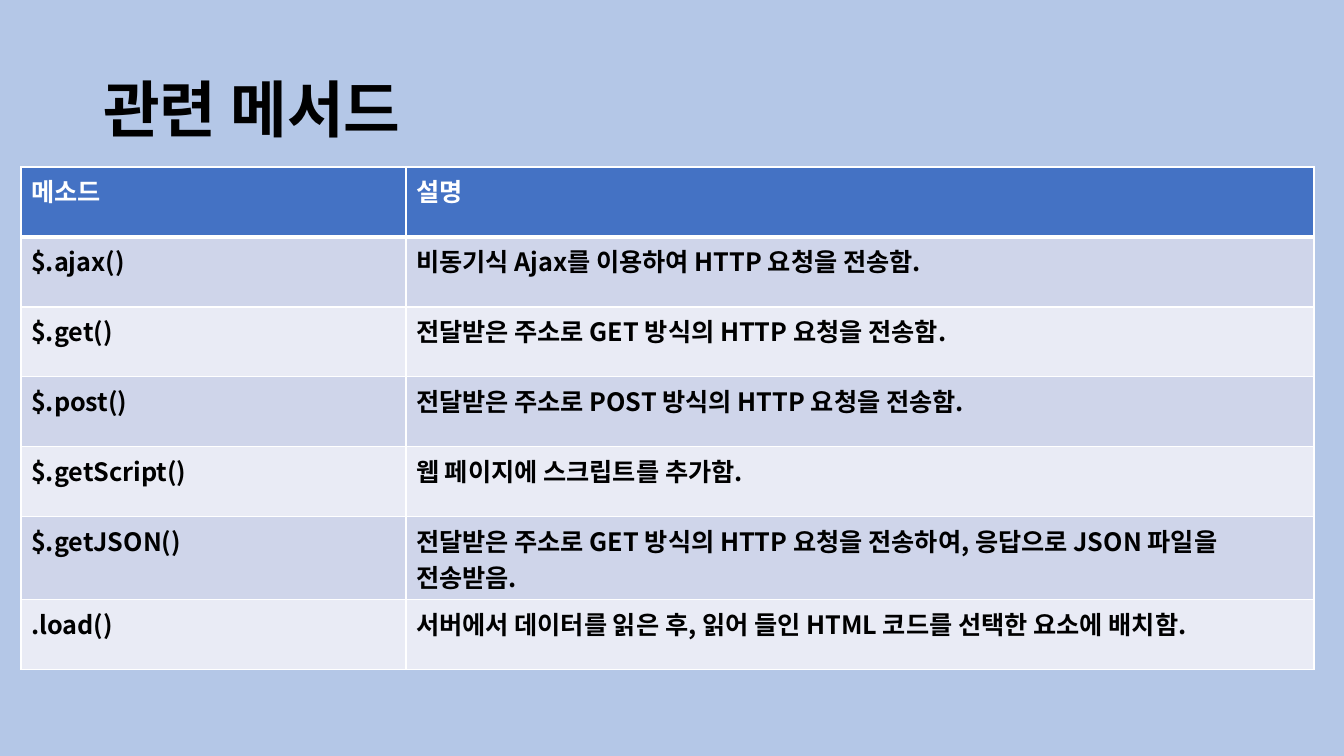
from lxml import etree
from pptx import Presentation
from pptx.dml.color import RGBColor
from pptx.enum.text import MSO_ANCHOR, MSO_AUTO_SIZE, PP_ALIGN
from pptx.oxml.ns import qn
from pptx.util import Pt

PX = 914400 / 100.8
THEME = {
    "background": "B4C7E7", "header": "4472C4", "bands": ("CFD5EA", "E9EBF5"),
    "border": "FFFFFF", "header_text": "FFFFFF", "text": "000000",
    "font": "Noto Sans CJK KR", "title_size": 44, "table_size": 18,
    "line": 1, "header_line": 3,
}
METHODS = [
    ("메소드", "설명"),
    ("$.ajax()", "비동기식 Ajax를 이용하여 HTTP 요청을 전송함."),
    ("$.get()", "전달받은 주소로 GET 방식의 HTTP 요청을 전송함."),
    ("$.post()", "전달받은 주소로 POST 방식의 HTTP 요청을 전송함."),
    ("$.getScript()", "웹 페이지에 스크립트를 추가함."),
    ("$.getJSON()", "전달받은 주소로 GET 방식의 HTTP 요청을 전송하여, 응답으로 JSON 파일을 전송받음."),
    (".load()", "서버에서 데이터를 읽은 후, 읽어 들인 HTML 코드를 선택한 요소에 배치함."),
]
COLUMN_WIDTHS = (385, 908)
ROW_HEIGHT = 70


def px(length):
    return round(length * PX)


def write(frame, text, size, color):
    """Put one bold line of text in a frame, for Latin and Korean glyphs alike."""
    paragraph = frame.paragraphs[0]
    paragraph.alignment = PP_ALIGN.LEFT
    run = paragraph.add_run()
    run.text = text
    for key, value in {"name": THEME["font"], "size": Pt(size), "bold": True}.items():
        setattr(run.font, key, value)
    run.font.color.rgb = RGBColor.from_string(color)
    korean = etree.SubElement(run.font._element, qn("a:ea"))
    korean.set("typeface", THEME["font"])


# Slide and background
deck = Presentation()
deck.slide_width, deck.slide_height = px(1344), px(756)
slide = deck.slides.add_slide(deck.slide_layouts[5])
slide.background.fill.solid()
slide.background.fill.fore_color.rgb = RGBColor.from_string(THEME["background"])

# Title
heading = slide.shapes.title
for side, length in {"left": 93, "top": 40, "width": 1159, "height": 146}.items():
    setattr(heading, side, px(length))
heading_format = {"vertical_anchor": MSO_ANCHOR.MIDDLE, "word_wrap": True,
                  "auto_size": MSO_AUTO_SIZE.NONE}
for key, value in heading_format.items():
    setattr(heading.text_frame, key, value)
write(heading.text_frame, "관련 메서드", THEME["title_size"], THEME["text"])
heading.text_frame.paragraphs[0].line_spacing = 0.9

# Method table
methods = slide.shapes.add_table(
    len(METHODS), len(COLUMN_WIDTHS), px(21), px(167),
    px(sum(COLUMN_WIDTHS)), px(ROW_HEIGHT * len(METHODS))).table
for column, width in zip(methods.columns, COLUMN_WIDTHS):
    column.width = px(width)

for r, entries in enumerate(METHODS):
    methods.rows[r].height = px(ROW_HEIGHT)
    fill = THEME["bands"][(r - 1) % 2] if r else THEME["header"]
    color = THEME["text"] if r else THEME["header_text"]
    for c, entry in enumerate(entries):
        cell = methods.cell(r, c)
        write(cell.text_frame, entry, THEME["table_size"], color)

        # Borders, with a thick rule under the header
        properties = cell._tc.get_or_add_tcPr()
        for edge in ("lnL", "lnR", "lnT", "lnB"):
            under_header = (r, edge) in ((0, "lnB"), (1, "lnT"))
            weight = THEME["header_line" if under_header else "line"]
            border = etree.SubElement(properties, qn(f"a:{edge}"), w=str(Pt(weight)))
            paint = etree.SubElement(border, qn("a:solidFill"))
            etree.SubElement(paint, qn("a:srgbClr"), val=THEME["border"])

        cell.fill.solid()
        cell.fill.fore_color.rgb = RGBColor.from_string(fill)

deck.save("out.pptx")
